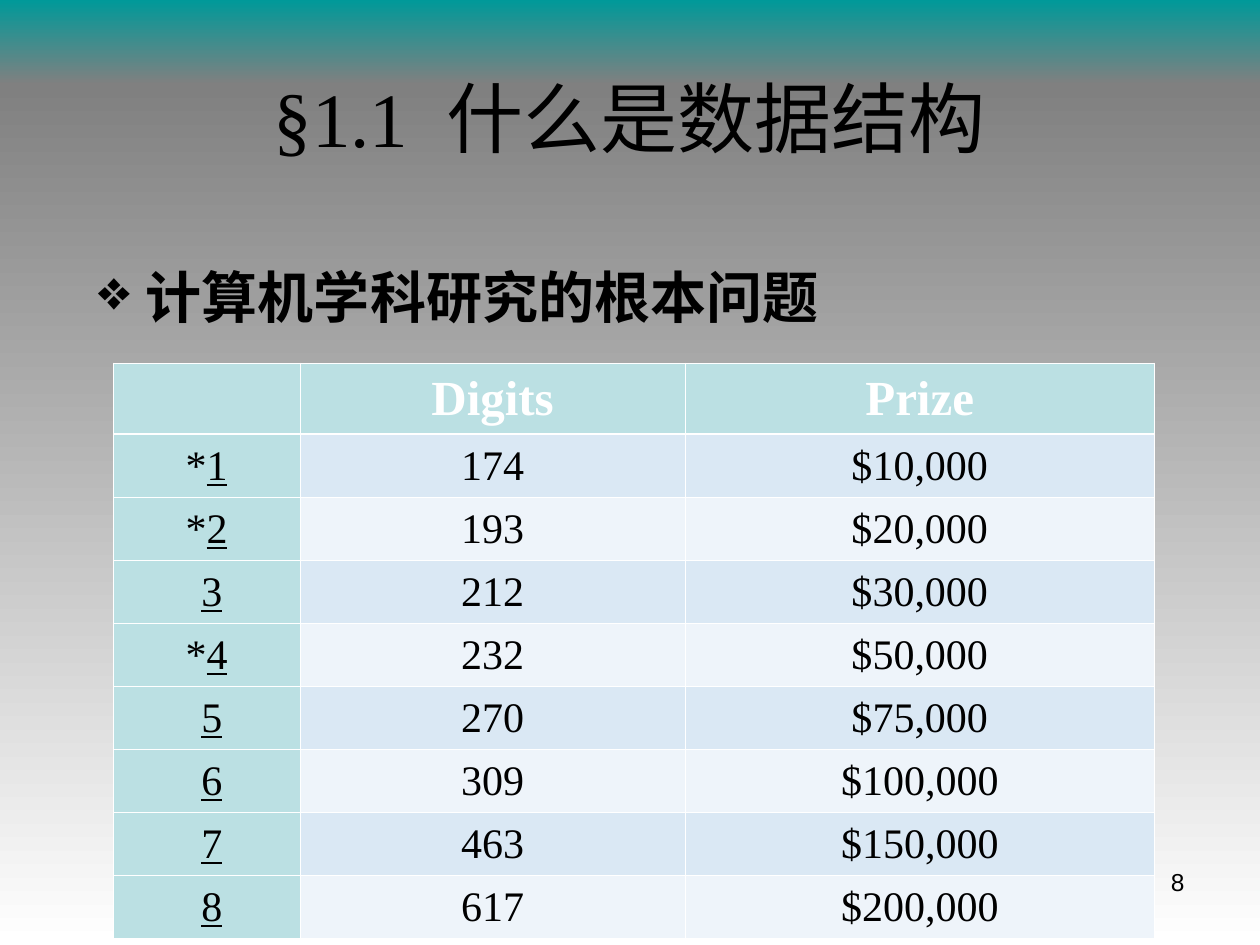
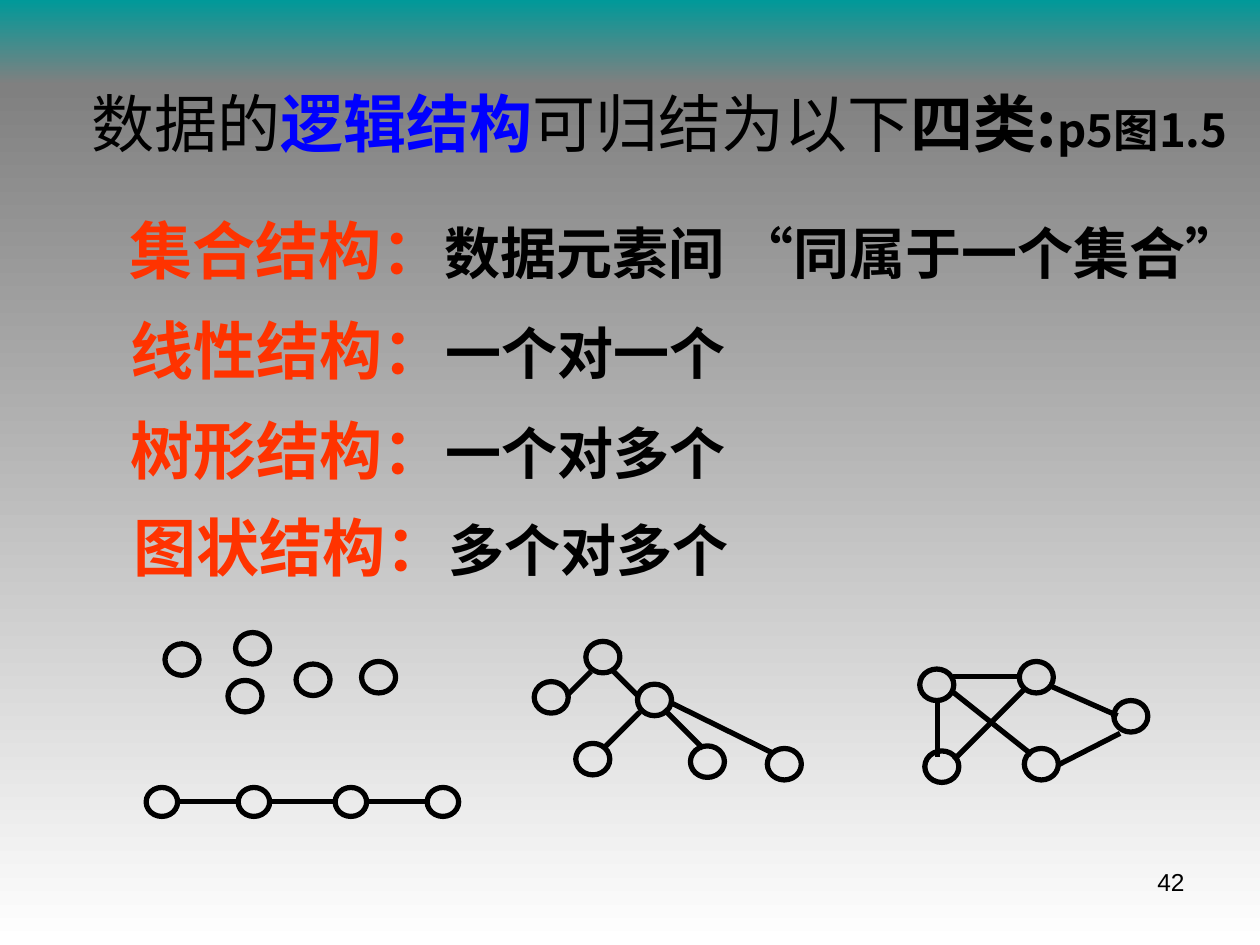
from lxml import etree
from pptx import Presentation
from pptx.dml.color import RGBColor
from pptx.enum.shapes import MSO_CONNECTOR, MSO_SHAPE
from pptx.enum.text import MSO_ANCHOR, PP_ALIGN
from pptx.oxml.ns import qn
from pptx.util import Inches, Pt

RECT, OVAL = MSO_SHAPE.RECTANGLE, MSO_SHAPE.OVAL
STRAIGHT = MSO_CONNECTOR.STRAIGHT
CENTER, RIGHT = PP_ALIGN.CENTER, PP_ALIGN.RIGHT
MIDDLE = MSO_ANCHOR.MIDDLE

SERIF, SANS, HAN = "Times New Roman", "Arial", "Noto Sans CJK SC"
BLACK, WHITE, TEAL, GRAY = "000000", "FFFFFF", "009999", "808080"
ORANGE, BLUE = "FF3300", "0000FF"
HEAD_FILL, ROW_FILLS = "BBE0E3", ("DAE8F4", "EEF4FA")

TITLE = {"size": 44, "name": SERIF, "color": BLACK}
HEADING = {"size": 32, "name": SERIF, "color": BLACK, "bold": True}
PAGE = {"size": 14, "name": SANS, "color": BLACK}
HEAD_CELL = {"size": 28, "name": SERIF, "color": WHITE, "bold": True}
BODY_CELL = {"size": 24, "name": SERIF, "color": BLACK}
LEAD = {"size": 36, "name": HAN, "color": BLACK}
TERM = LEAD | {"color": ORANGE, "bold": True}
MEANING = TERM | {"size": 32, "color": BLACK}

PRIZES = [
    ("*", "1", "174", "$10,000"),
    ("*", "2", "193", "$20,000"),
    (" ", "3", "212", "$30,000"),
    ("*", "4", "232", "$50,000"),
    (" ", "5", "270", "$75,000"),
    (" ", "6", "309", "$100,000"),
    (" ", "7", "463", "$150,000"),
    (" ", "8", "617", "$200,000"),
]

STRUCTURES = [
    ((0.93, 1.51, 9.07, 1.46), "集合结构：", "数据元素间 “同属于一个集合”"),
    ((0.94, 2.3, 5, 0.82), "线性结构：", "一个对一个"),
    ((0.94, 3.1, 5, 0.82), "树形结构：", "一个对多个"),
    ((0.96, 3.87, 5, 0.82), "图状结构：", "多个对多个"),
]

NODE, SMALL_NODE = (0.27, 0.25), (0.25, 0.23)
DIAGRAMS = [
    {"origin": (1.31, 5.02), "node": NODE,
     "nodes": [(0, 0.09), (0.56, 0), (0.5, 0.38), (1.04, 0.25), (1.56, 0.23)],
     "edges": []},
    {"origin": (1.16, 6.25), "node": SMALL_NODE,
     "nodes": [(0, 0), (0.73, 0), (1.5, 0), (2.23, 0)],
     "edges": [(0.25, 0.11, 0.71, 0.11), (0.96, 0.11, 1.5, 0.11),
               (1.77, 0.11, 2.22, 0.11)]},
    {"origin": (4.24, 5.09), "node": NODE,
     "nodes": [(0.41, 0), (0, 0.32), (0.82, 0.34), (0.33, 0.81),
               (1.24, 0.83), (1.85, 0.85)],
     "edges": [(0.45, 0.24, 0.26, 0.43), (0.84, 0.56, 0.55, 0.85),
               (0.61, 0.22, 0.82, 0.43), (1.03, 0.54, 1.34, 0.85),
               (1.09, 0.49, 1.9, 0.89)]},
    {"origin": (7.3, 5.25), "node": NODE,
     "nodes": [(0.79, 0), (0.04, 0.71), (0.83, 0.69), (1.54, 0.31), (0, 0.06)],
     "edges": [(0.14, 0.33, 0.14, 0.76), (0.26, 0.24, 0.89, 0.74),
               (1.05, 0.2, 1.57, 0.43), (0.83, 0.22, 0.27, 0.78),
               (1.59, 0.57, 1.1, 0.82), (0.26, 0.12, 0.8, 0.12)]},
]


def rgb(value):
    return RGBColor.from_string(value)


def inches(values):
    return [Inches(value) for value in values]


def write(paragraph, runs):
    for text, style in runs:
        run = paragraph.add_run()
        run.text = text
        for key, value in style.items():
            if key == "color":
                run.font.color.rgb = rgb(value)
            elif key == "tracking":
                run.font._element.set("spc", str(value * 100))
            else:
                setattr(run.font, key, Pt(value) if key == "size" else value)
        latin = run.font._element.find(qn("a:latin"))
        east_asian = etree.Element(qn("a:ea"), typeface=HAN)
        latin.addnext(east_asian)


def add_text(slide, box, runs, anchor=None, **layout):
    frame = slide.shapes.add_textbox(*inches(box)).text_frame
    frame.word_wrap = True
    frame.vertical_anchor = anchor
    paragraph = frame.paragraphs[0]
    for key, value in layout.items():
        setattr(paragraph, key, value)
    write(paragraph, runs)
    return paragraph


def add_band(slide, box, top_color, bottom_color):
    band = slide.shapes.add_shape(RECT, *inches(box))
    band.shadow.inherit = False
    band.line.fill.background()
    band.fill.gradient()
    band.fill.gradient_angle = 270
    for stop, color in zip(band.fill.gradient_stops, (top_color, bottom_color)):
        stop.color.rgb = rgb(color)


def start_slide(deck, page):
    slide = deck.slides.add_slide(deck.slide_layouts[6])
    add_band(slide, (0, 0, 10, 0.67), TEAL, GRAY)
    add_band(slide, (0, 0.67, 10, 6.83), GRAY, WHITE)
    add_text(slide, (7.17, 6.83, 2.33, 0.52), [(page, PAGE)], alignment=RIGHT)
    return slide


def add_heading(slide, box, text):
    heading = add_text(slide, box, [(text, HEADING)], line_spacing=0.8)
    properties = heading._p.get_or_add_pPr()
    properties.set("marL", str(Inches(0.38)))
    properties.set("indent", str(Inches(-0.38)))
    etree.SubElement(properties, qn("a:buChar"), char="❖")


def set_borders(cell, widths):
    properties = cell._tc.get_or_add_tcPr()
    for position, (side, width) in enumerate(widths.items()):
        border = etree.Element(qn(f"a:ln{side}"), w=str(Pt(width)))
        fill = etree.SubElement(border, qn("a:solidFill"))
        etree.SubElement(fill, qn("a:srgbClr"), val=WHITE)
        properties.insert(position, border)


def fill_cell(cell, runs, color, row):
    cell.fill.solid()
    cell.fill.fore_color.rgb = rgb(color)
    cell.vertical_anchor = MIDDLE
    cell.margin_left = cell.margin_right = Inches(0.08)
    set_borders(cell, {"L": 0.45, "R": 0.45,
                       "T": 1.47 if row == 1 else 0.45,
                       "B": 1.47 if row == 0 else 0.45})
    paragraph = cell.text_frame.paragraphs[0]
    paragraph.alignment = CENTER
    write(paragraph, runs)


def add_prize_table(slide, box):
    table = slide.shapes.add_table(len(PRIZES) + 1, 3, *inches(box)).table
    table.first_row = table.horz_banding = False
    for column, width in zip(table.columns, (1.48, 3.06, 3.72)):
        column.width = Inches(width)
    for row in table.rows:
        row.height = Inches(0.47)
    for column, label in enumerate(("", "Digits", "Prize")):
        runs = [(label, HEAD_CELL)] if label else []
        fill_cell(table.cell(0, column), runs, HEAD_FILL, 0)
    for row, (mark, number, digits, prize) in enumerate(PRIZES, 1):
        stripe = ROW_FILLS[(row - 1) % 2]
        index = [(mark, BODY_CELL), (number, BODY_CELL | {"underline": True})]
        fill_cell(table.cell(row, 0), index, HEAD_FILL, row)
        fill_cell(table.cell(row, 1), [(digits, BODY_CELL)], stripe, row)
        fill_cell(table.cell(row, 2), [(prize, BODY_CELL)], stripe, row)


def add_diagram(slide, origin, node, nodes, edges):
    left, top = origin
    for x, y in nodes:
        circle = slide.shapes.add_shape(OVAL, *inches((left + x, top + y, *node)))
        circle.shadow.inherit = False
        circle.fill.background()
        circle.line.color.rgb = rgb(BLACK)
        circle.line.width = Pt(3)
    for x1, y1, x2, y2 in edges:
        ends = inches((left + x1, top + y1, left + x2, top + y2))
        edge = slide.shapes.add_connector(STRAIGHT, *ends)
        edge.line.color.rgb = rgb(BLACK)
        edge.line.width = Pt(3)
        etree.SubElement(edge._element.spPr, qn("a:effectLst"))


def build_prize_slide(deck):
    slide = start_slide(deck, "8")
    title = [("§1.1", TITLE), (" ", TITLE | {"tracking": 11}), ("什么是数据结构", TITLE)]
    add_text(slide, (0.5, 0.3, 9, 1.25), title, MIDDLE, alignment=CENTER)
    add_heading(slide, (0.68, 2.14, 8.49, 0.7), "计算机学科研究的根本问题")
    add_prize_table(slide, (0.9, 2.88, 8.26, 4.23))


def build_structure_slide(deck):
    slide = start_slide(deck, "42")
    strong = LEAD | {"bold": True}
    add_text(slide, (0.63, 0.62, 9.37, 1.14), [
        ("数据的", LEAD),
        ("逻辑结构", strong | {"color": BLUE}),
        ("可归结为以下", LEAD),
        ("四类:", strong),
        ("p5图1.5", strong | {"size": 26}),
    ])
    for box, term, meaning in STRUCTURES:
        add_text(slide, box, [(term, TERM), (meaning, MEANING)], line_spacing=1.2)
    for diagram in DIAGRAMS:
        add_diagram(slide, **diagram)


def main():
    deck = Presentation()
    deck.slide_width, deck.slide_height = Inches(10), Inches(7.5)
    build_prize_slide(deck)
    build_structure_slide(deck)
    deck.save("out.pptx")


if __name__ == "__main__":
    main()
